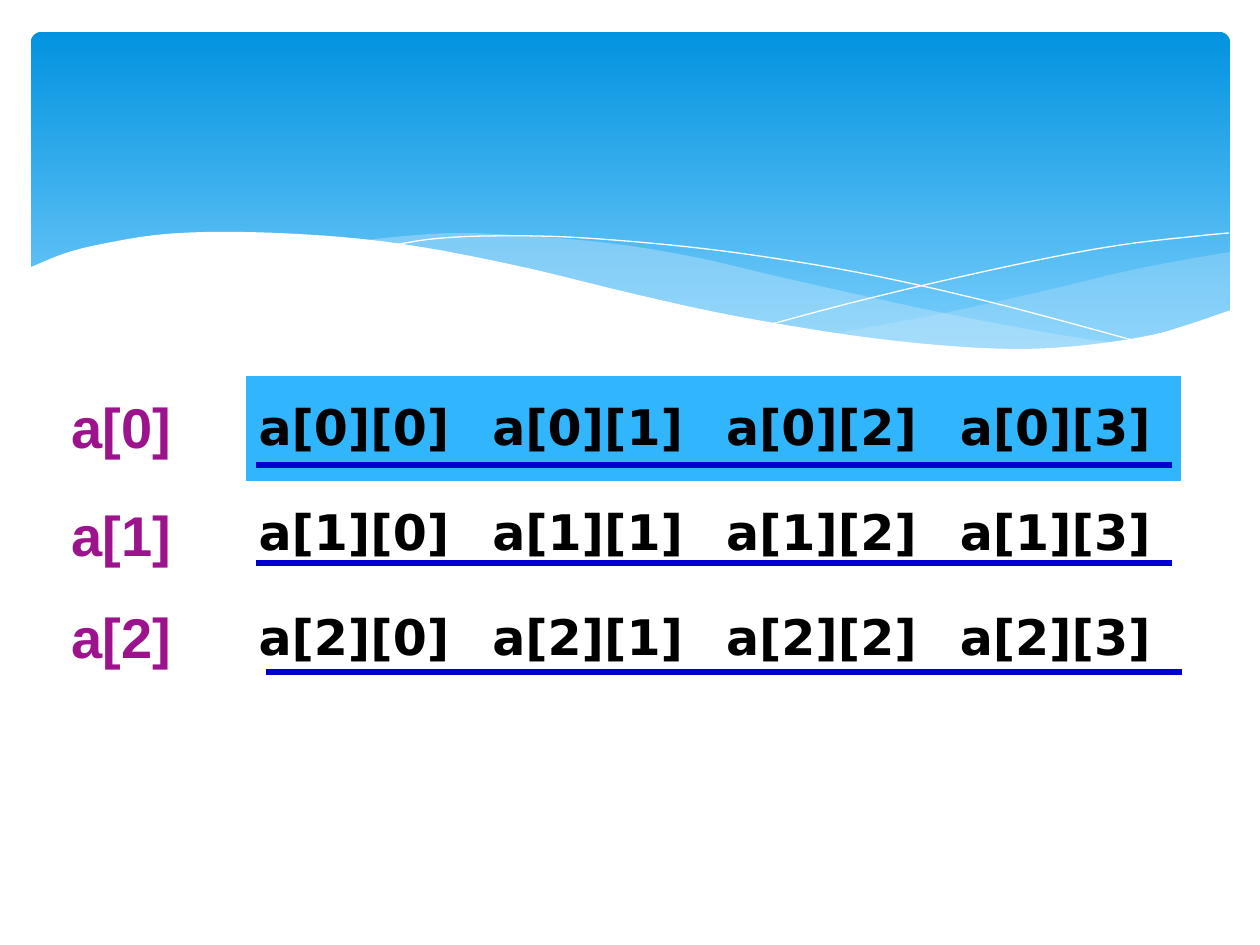
import pptx
import pptx.dml.color
import pptx.enum.shapes
import pptx.enum.text
import pptx.oxml.ns
import pptx.oxml.xmlchemy
import pptx.util

SCALE = 914400 / 126
COLORS = {
    "top": "0293E0", "low": "83D3FE", "mist": "C6E7FC", "white": "FFFFFF",
    "head": "31B6FD", "black": "000000", "name": "9D138D", "rule": "0000CC",
}
NO_STYLE = "{2D5ABB26-0587-4C30-8999-92F81FD0307C}"

# Each edge is a list of knots that a smooth curve runs through.
SWELL = [
    [(1230, 252), (1178, 261), (1123, 272), (1048, 290), (949, 312), (833, 334)],
    [(833, 334), (888, 341), (954, 348), (1026, 350), (1087, 347), (1140, 339),
     (1187, 326), (1230, 311)],
]
DRIFT = [
    [(1125, 344), (1055, 334), (934, 311), (793, 280), (699, 258), (616, 244),
     (529, 236), (455, 233), (394, 237), (360, 241)],
    [(360, 241), (431, 251), (509, 266), (619, 292), (736, 318), (838, 335),
     (927, 347), (1017, 352), (1080, 349), (1125, 344)],
]
CREST = [[(389, 246), (432, 239), (487, 236), (567, 237), (670, 245), (766, 257),
          (876, 276), (1002, 305), (1143, 343)]]
RISE = [[(772, 324), (847, 304), (942, 281), (1053, 257), (1128, 244),
         (1198, 236), (1229, 233)]]
SHORE = [
    [(1231, 310), (1184, 326), (1147, 336), (1087, 345), (1019, 349), (937, 345),
     (842, 334), (730, 315), (634, 294), (527, 268), (427, 248), (341, 237),
     (243, 232), (166, 234), (107, 243), (66, 253), (29, 268)],
    [(29, 415), (1231, 415)],
]


def px(n):
    return pptx.util.Emu(round(n * SCALE))


def color(key):
    return pptx.dml.color.RGBColor.from_string(COLORS[key])


def bend(knots, steps=6):
    """Return points on a Catmull-Rom curve through the knots."""
    if len(knots) < 3:
        return knots
    ends = [knots[0], *knots, knots[-1]]
    points = [knots[0]]
    for a, b, c, d in zip(ends, ends[1:], ends[2:], ends[3:]):
        for i in range(1, steps + 1):
            t = i / steps
            points.append(tuple(
                q + t / 2 * (r - p + t * (2 * p - 5 * q + 4 * r - s
                                          + t * (3 * (q - r) + s - p)))
                for p, q, r, s in zip(a, b, c, d)))
    return points


def write(frame, text, size, font, ink, bold=True):
    run = frame.paragraphs[0].add_run()
    run.text = text
    run.font.size = pptx.util.Pt(size)
    run.font.name = font
    run.font.bold = bold
    run.font.color.rgb = color(ink)


class Deck:
    def __init__(self, wide, high):
        self.file = pptx.Presentation()
        self.file.slide_width, self.file.slide_height = px(wide), px(high)
        self.slide = self.file.slides.add_slide(self.file.slide_layouts[6])
        self.shapes = self.slide.shapes

    def banner(self, x, y, w, h):
        shape = self.shapes.add_shape(
            pptx.enum.shapes.MSO_SHAPE.ROUNDED_RECTANGLE, px(x), px(y), px(w), px(h))
        shape.adjustments[0] = 0.03
        shape.shadow.inherit = False
        shape.line.fill.background()
        shape.fill.gradient()
        shape.fill.gradient_angle = 270
        for stop, key, place in zip(shape.fill.gradient_stops, ("top", "low"), (0, 1)):
            stop.color.rgb = color(key)
            stop.position = place

    def wave(self, edges, fill=None, alpha=100):
        """Draw a filled wave, or a white hairline if no fill is given."""
        points = [(px(x), px(y)) for edge in edges for x, y in bend(edge)]
        path = self.shapes.build_freeform(*points[0])
        path.add_line_segments(points[1:], close=fill is not None)
        shape = path.convert_to_shape()
        shape.shadow.inherit = False
        if fill is None:
            shape.fill.background()
            shape.line.color.rgb = color("white")
            shape.line.width = 0
            return
        shape.line.fill.background()
        shape.fill.solid()
        shape.fill.fore_color.rgb = color(fill)
        if alpha < 100:
            tint = next(shape._element.spPr.iter(pptx.oxml.ns.qn("a:srgbClr")))
            node = pptx.oxml.xmlchemy.OxmlElement("a:alpha")
            node.set("val", str(alpha * 1000))
            tint.append(node)

    def grid(self, x, y, w, h, rows, cols):
        frame = self.shapes.add_table(rows, cols, px(x), px(y), px(w), px(h))
        next(frame._element.iter(pptx.oxml.ns.qn("a:tableStyleId"))).text = NO_STYLE
        table = frame.table
        table.first_row = table.horz_banding = False
        for i in range(rows):
            for j in range(cols):
                cell = table.cell(i, j)
                cell.vertical_anchor = pptx.enum.text.MSO_ANCHOR.MIDDLE
                cell.fill.solid()
                cell.fill.fore_color.rgb = color("white" if i else "head")
                write(cell.text_frame, f"a[{i}][{j}]", 28, "DejaVu Sans", "black")

    def label(self, x, y, w, h, text):
        frame = self.shapes.add_textbox(px(x), px(y), px(w), px(h)).text_frame
        frame.word_wrap = True
        frame.auto_size = pptx.enum.text.MSO_AUTO_SIZE.SHAPE_TO_FIT_TEXT
        write(frame, text, 32, "Arial", "name")

    def rule(self, x, y, w):
        line = self.shapes.add_connector(
            pptx.enum.shapes.MSO_CONNECTOR.STRAIGHT, px(x), px(y), px(x + w), px(y))
        line.line.color.rgb = color("rule")
        line.line.width = pptx.util.Pt(3)
        line._element.spPr.append(pptx.oxml.xmlchemy.OxmlElement("a:effectLst"))


def main():
    deck = Deck(1260, 945)
    deck.banner(31, 32, 1199, 340)
    deck.wave(SWELL, "mist", 29)
    deck.wave(DRIFT, "mist", 40)
    deck.wave(CREST)
    deck.wave(RISE)
    deck.wave(SHORE, "white")
    deck.grid(246, 376, 935, 315, 3, 4)
    for i, (y, w) in enumerate([(386, 147), (494, 147), (596, 158)]):
        deck.label(59, y, w, 81, f"a[{i}]")
    for x, y in [(256, 465), (256, 563), (266, 672)]:
        deck.rule(x, y, 916)
    deck.file.save("out.pptx")


if __name__ == "__main__":
    main()
